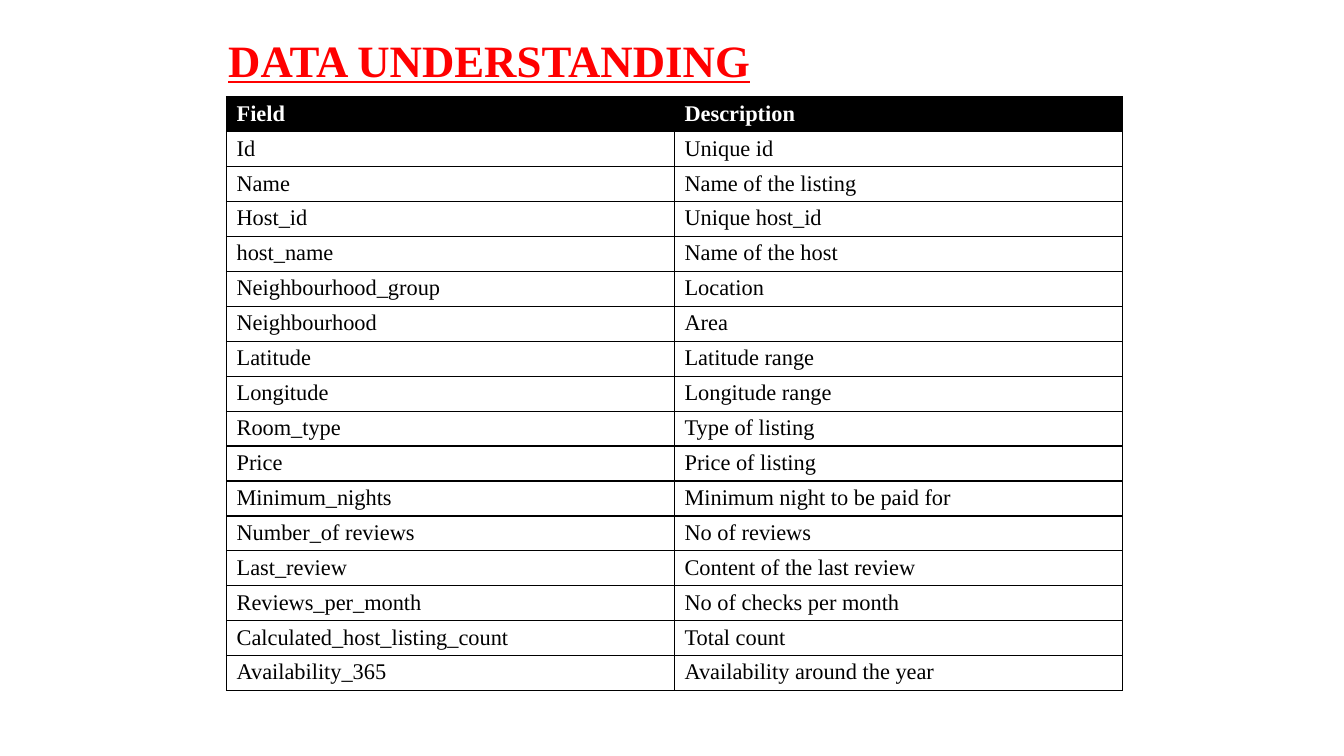
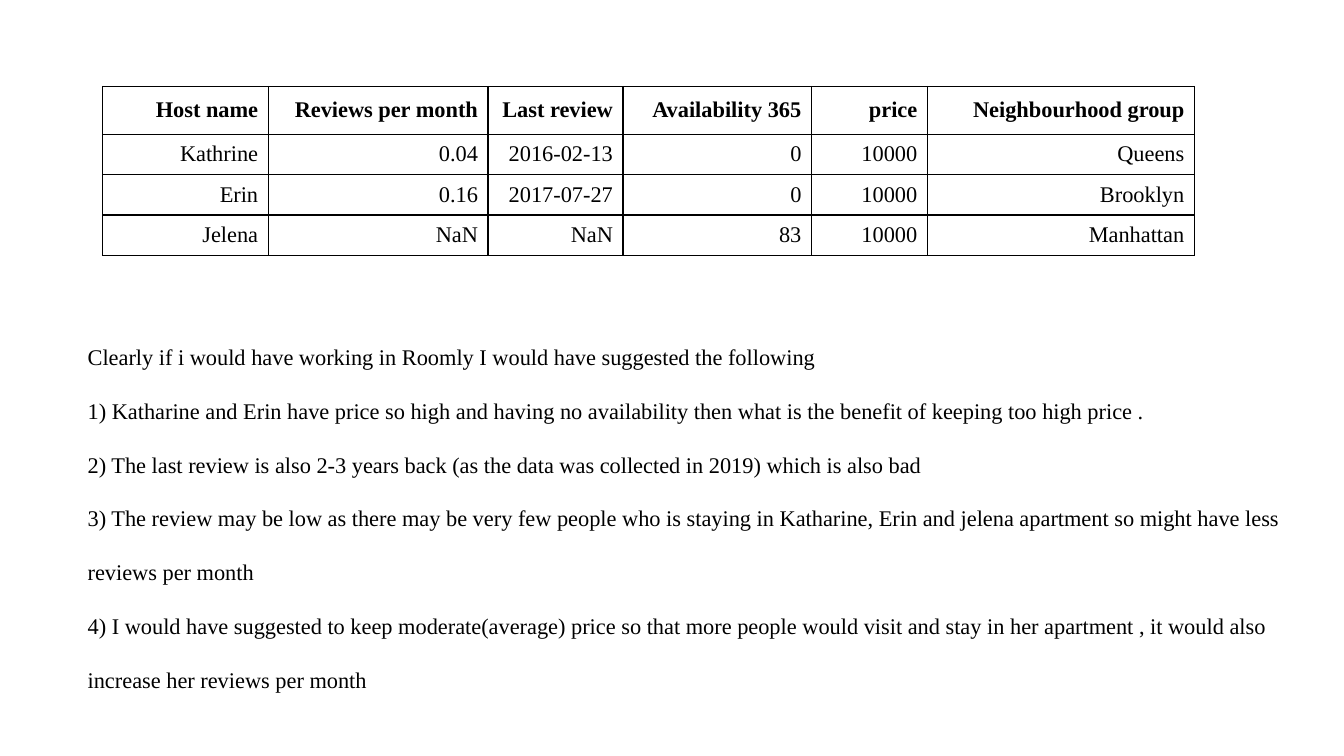
from lxml import etree
from pptx import Presentation
from pptx.dml.color import RGBColor
from pptx.enum import text
from pptx.oxml import ns
from pptx.util import Cm, Pt

# Shared style
FONT = "Times New Roman"
BLACK, WHITE, RED = "000000", "FFFFFF", "FF0000"
BODY = {"name": FONT, "size": Pt(16), "bold": False}
HEADING = {**BODY, "bold": True}
TITLE = {"name": FONT, "size": Pt(32), "bold": True, "underline": True}
BORDER_WIDTH = Pt(1)
CELL_PADDING = Cm(0.11)

# Content
FIELDS = [
    ("Field", "Description"),
    ("Id", "Unique id"),
    ("Name", "Name of the listing"),
    ("Host_id", "Unique host_id"),
    ("host_name", "Name of the host"),
    ("Neighbourhood_group", "Location"),
    ("Neighbourhood", "Area"),
    ("Latitude", "Latitude range"),
    ("Longitude", "Longitude range"),
    ("Room_type", "Type of listing"),
    ("Price", "Price of listing"),
    ("Minimum_nights", "Minimum night to be paid for"),
    ("Number_of reviews", "No of reviews"),
    ("Last_review", "Content of the last review"),
    ("Reviews_per_month", "No of checks per month"),
    ("Calculated_host_listing_count", "Total count"),
    ("Availability_365", "Availability around the year"),
]
HOSTS = [
    ("Host name", "Reviews per month", "Last review", "Availability 365", "price",
     "Neighbourhood group"),
    ("Kathrine", "0.04", "2016-02-13", "0", "10000", "Queens"),
    ("Erin", "0.16", "2017-07-27", "0", "10000", "Brooklyn"),
    ("Jelena", "NaN", "NaN", "83", "10000", "Manhattan"),
]
SUGGESTIONS = [
    "Clearly if i would have working in Roomly I would have suggested the following",
    "1) Katharine and Erin have price so high and having no availability then what is "
    "the benefit of keeping too high price .",
    "2) The last review is also 2-3 years back (as the data was collected in 2019) "
    "which is also bad",
    "3) The review may be low as there may be very few people who is staying in "
    "Katharine, Erin and jelena apartment so might have less reviews per month",
    "4) I would have suggested to keep moderate(average) price so that more people "
    "would visit and stay in her apartment , it would also increase her reviews per month",
]


def set_color(target, color):
    target.rgb = RGBColor.from_string(color)


def set_attributes(target, values):
    for name, value in values.items():
        setattr(target, name, value)


def write(paragraph, words, font, color=BLACK, **layout):
    run = paragraph.add_run()
    run.text = words
    set_attributes(run.font, font)
    set_color(run.font.color, color)
    set_attributes(paragraph, layout)


def add_borders(cell):
    properties = cell._tc.get_or_add_tcPr()
    for side in ("a:lnL", "a:lnR", "a:lnT", "a:lnB"):
        line = etree.SubElement(properties, ns.qn(side), w=str(BORDER_WIDTH))
        fill = etree.SubElement(line, ns.qn("a:solidFill"))
        etree.SubElement(fill, ns.qn("a:srgbClr"), val=BLACK)


def format_cell(cell, words, font, color, fill, alignment, anchor):
    set_attributes(cell, {"margin_top": CELL_PADDING, "margin_bottom": CELL_PADDING,
                          "vertical_anchor": anchor})
    write(cell.text_frame.paragraphs[0], words, font, color, alignment=alignment)
    add_borders(cell)  # borders must precede the fill
    cell.fill.solid()
    set_color(cell.fill.fore_color, fill)


def add_grid(slide, rows, left, top, widths, heights, header_color=BLACK,
             header_fill=WHITE, alignment=text.PP_ALIGN.LEFT,
             anchor=text.MSO_ANCHOR.TOP):
    table = slide.shapes.add_table(len(rows), len(widths), Cm(left), Cm(top),
                                   Cm(sum(widths)), Cm(sum(heights))).table
    for column, width in zip(table.columns, widths):
        column.width = Cm(width)
    for row, height in zip(table.rows, heights):
        row.height = Cm(height)
    for r, row in enumerate(rows):
        style = (BODY, BLACK, WHITE) if r else (HEADING, header_color, header_fill)
        for c, words in enumerate(row):
            format_cell(table.cell(r, c), words, *style, alignment, anchor)


def add_title(slide, words, left, top, width, height):
    title = slide.shapes.title
    set_attributes(title, {"left": Cm(left), "top": Cm(top),
                           "width": Cm(width), "height": Cm(height)})
    set_attributes(title.text_frame, {"auto_size": text.MSO_AUTO_SIZE.NONE,
                                      "vertical_anchor": text.MSO_ANCHOR.MIDDLE})
    write(title.text_frame.paragraphs[0], words, TITLE, RED,
          alignment=text.PP_ALIGN.CENTER, line_spacing=0.9)


def add_text(slide, lines, left, top, width, height):
    frame = slide.shapes.add_textbox(Cm(left), Cm(top), Cm(width), Cm(height)).text_frame
    set_attributes(frame, {"word_wrap": True,
                           "auto_size": text.MSO_AUTO_SIZE.SHAPE_TO_FIT_TEXT})
    for index, line in enumerate(lines):
        paragraph = frame.add_paragraph() if index else frame.paragraphs[0]
        write(paragraph, line, BODY, line_spacing=2.0)


def main():
    presentation = Presentation()
    presentation.slide_width, presentation.slide_height = Cm(33.87), Cm(19.05)
    title_only, blank = presentation.slide_layouts[5], presentation.slide_layouts[6]

    # Data fields
    slide = presentation.slides.add_slide(title_only)
    add_title(slide, "DATA UNDERSTANDING", 5.18, 0.66, 14.3, 1.83)
    add_grid(slide, FIELDS, 5.71, 2.44, [11.29] * 2, [0.88] * len(FIELDS),
             header_color=WHITE, header_fill=BLACK)

    # Hosts and suggestions
    slide = presentation.slides.add_slide(blank)
    add_text(slide, SUGGESTIONS, 1.96, 7.85, 30.91, 9.83)
    add_grid(slide, HOSTS, 2.59, 2.18, [4.17, 5.54, 3.4, 4.75, 2.92, 6.73],
             [1.2] + [1.02] * 3, alignment=text.PP_ALIGN.RIGHT,
             anchor=text.MSO_ANCHOR.MIDDLE)

    presentation.save("out.pptx")


if __name__ == "__main__":
    main()
